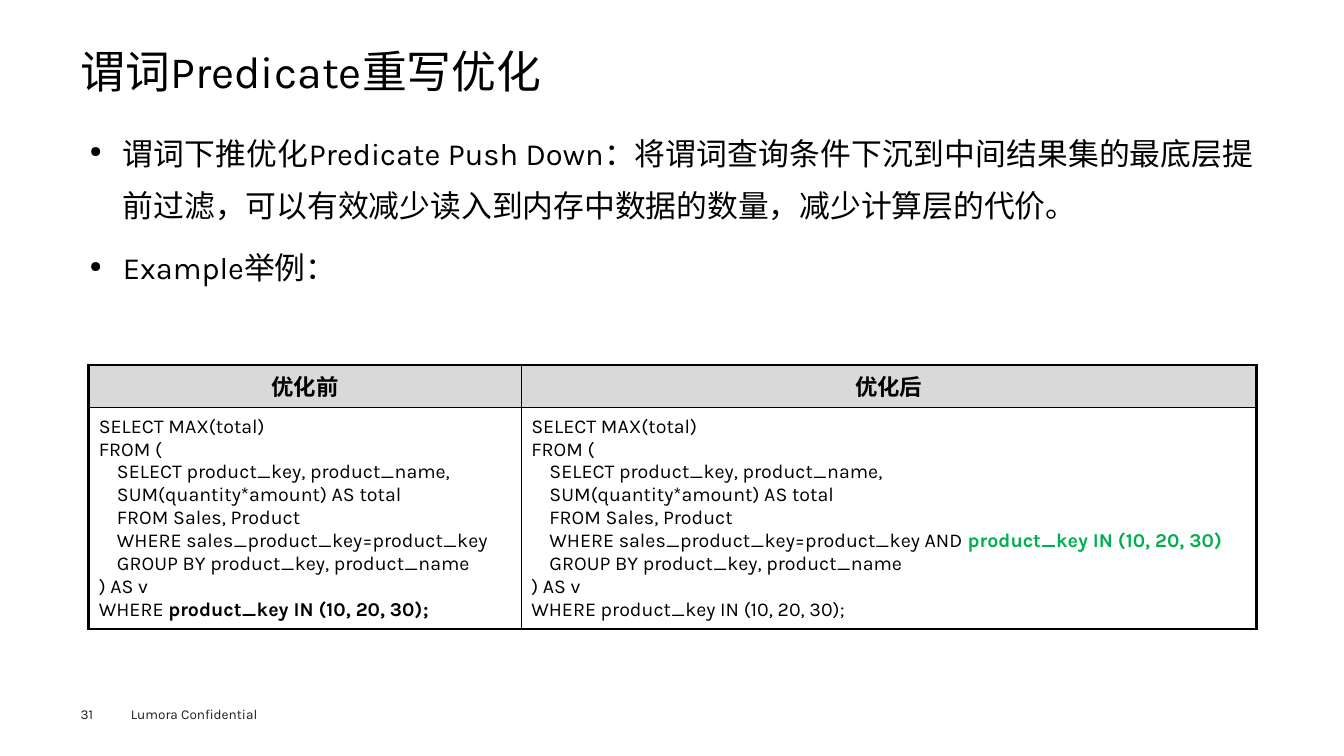
"""Build the predicate push-down slide with its before and after SQL table."""
from lxml import etree
from pptx import Presentation
from pptx.dml.color import RGBColor
from pptx.enum.text import MSO_ANCHOR, PP_ALIGN
from pptx.oxml.ns import qn
from pptx.util import Inches, Pt

LEFT, CENTER, JUSTIFY = PP_ALIGN.LEFT, PP_ALIGN.CENTER, PP_ALIGN.JUSTIFY
TOP, MIDDLE = MSO_ANCHOR.TOP, MSO_ANCHOR.MIDDLE
BLACK = RGBColor(0x00, 0x00, 0x00)
FOOTER_INK = RGBColor(0x1D, 0x1D, 0x1B)
GREEN = RGBColor(0x00, 0xB0, 0x50)
GREY = RGBColor(0xD9, 0xD9, 0xD9)
WHITE = RGBColor(0xFF, 0xFF, 0xFF)
FONT = "Karla"

TITLE = "谓词Predicate重写优化"
BULLETS = [
    "谓词下推优化Predicate Push Down：将谓词查询条件下沉到中间结果集的最底层"
    "提前过滤，可以有效减少读入到内存中数据的数量，减少计算层的代价。",
    "Example举例：",
]
HEADERS = ["优化前", "优化后"]
OUTER_START = ["SELECT MAX(total)", "FROM ("]
INNER_START = ["SELECT product_key, product_name,",
               "SUM(quantity*amount) AS total",
               "FROM Sales, Product"]
JOIN = "WHERE sales_product_key=product_key"
GROUP = "GROUP BY product_key, product_name"
FILTER = "product_key IN (10, 20, 30)"
JOIN_SPANS = [
    [(JOIN, {})],
    [(JOIN + " AND ", {}), (FILTER, {"bold": True, "color": GREEN})],
]
FILTER_SPANS = [
    [("WHERE ", {}), (FILTER + ";", {"bold": True})],
    [("WHERE " + FILTER + ";", {})],
]
FOOTERS = [
    ("31", (0.8, 7, 0.55, 0.16), (0, 0)),
    ("Lumora Confidential", (1.2, 6.95, 1.6, 0.27), (0.1, 0.05)),
]

COLUMN_WIDTHS = [4.29, 7.29]
ROW_HEIGHTS = [0.42, 2.15]
TABLE_LEFT, TABLE_TOP = 0.88, 3.62
CODE_INDENT = 0.18
BULLET_INDENT = 0.33
OUTER_LINE, INNER_LINE = 2.25, 1


def add_spans(para, spans, size, color=BLACK, bold=False):
    for text, changes in spans:
        span = para.add_run()
        span.text = text
        look = {"name": FONT, "size": Pt(size), "bold": changes.get("bold", bold)}
        for name, value in look.items():
            setattr(span.font, name, value)
        span.font.color.rgb = changes.get("color", color)


def add_paragraphs(frame, lines, size, color=BLACK, bold=False, **layout):
    for index, spans in enumerate(lines):
        para = frame.add_paragraph() if index else frame.paragraphs[0]
        for name, value in layout.items():
            setattr(para, name, value)
        add_spans(para, spans, size, color, bold)


def add_box(page, place, insets):
    frame = page.shapes.add_textbox(*map(Inches, place)).text_frame
    across, down = map(Inches, insets)
    settings = {"word_wrap": True, "vertical_anchor": TOP,
                "margin_left": across, "margin_right": across,
                "margin_top": down, "margin_bottom": down}
    for name, value in settings.items():
        setattr(frame, name, value)
    return frame


def add_bullet(para):
    properties = para._p.get_or_add_pPr()
    properties.set("marL", str(Inches(BULLET_INDENT)))
    properties.set("indent", str(-Inches(BULLET_INDENT)))
    etree.SubElement(properties, qn("a:buSzPct"), val="50000")
    etree.SubElement(properties, qn("a:buChar"), char="●")


def draw_borders(cell, widths):
    properties = cell._tc.get_or_add_tcPr()
    for side, width in zip("LRTB", widths):
        line = etree.SubElement(properties, qn("a:ln" + side), w=str(Pt(width)))
        fill = etree.SubElement(line, qn("a:solidFill"))
        etree.SubElement(fill, qn("a:srgbClr"), val=str(BLACK))


def code_lines(column):
    plain = [(0, [(text, {})]) for text in OUTER_START]
    plain += [(1, [(text, {})]) for text in INNER_START]
    return plain + [(1, JOIN_SPANS[column]), (1, [(GROUP, {})]),
                    (0, [(") AS v", {})]), (0, FILTER_SPANS[column])]


def add_code_table(page):
    table = page.shapes.add_table(
        len(ROW_HEIGHTS), len(COLUMN_WIDTHS), Inches(TABLE_LEFT), Inches(TABLE_TOP),
        Inches(sum(COLUMN_WIDTHS)), Inches(sum(ROW_HEIGHTS))).table
    for row, height in zip(table.rows, ROW_HEIGHTS):
        row.height = Inches(height)
    for column, width in enumerate(COLUMN_WIDTHS):
        table.columns[column].width = Inches(width)
        sides = (INNER_LINE, OUTER_LINE) if column else (OUTER_LINE, INNER_LINE)
        header, code = table.cell(0, column), table.cell(1, column)
        for cell, ends, color in ((header, (OUTER_LINE, INNER_LINE), GREY),
                                  (code, (INNER_LINE, OUTER_LINE), WHITE)):
            draw_borders(cell, sides + ends)
            cell.fill.solid()
            cell.fill.fore_color.rgb = color
        add_paragraphs(header.text_frame, [[(HEADERS[column], {})]], 16,
                       bold=True, alignment=CENTER)
        code.vertical_anchor = MIDDLE
        lines = code_lines(column)
        add_paragraphs(code.text_frame, [spans for _, spans in lines], 14,
                       alignment=LEFT)
        for para, (level, _) in zip(code.text_frame.paragraphs, lines):
            para._p.get_or_add_pPr().set("marL", str(Inches(CODE_INDENT * level)))


def main():
    deck = Presentation()
    deck.slide_width, deck.slide_height = Inches(13.33), Inches(7.5)
    page = deck.slides.add_slide(deck.slide_layouts[6])
    for text, place, insets in FOOTERS:
        add_paragraphs(add_box(page, place, insets), [[(text, {})]], 9.7, FOOTER_INK)
    title = add_box(page, (0.8, 0.49, 11.73, 0.53), (0, 0))
    add_paragraphs(title, [[(TITLE, {})]], 32, line_spacing=0.9)
    body = add_box(page, (0.8, 1.15, 11.73, 5.34), (0.09, 0.04))
    add_paragraphs(body, [[(text, {})] for text in BULLETS], 22, alignment=JUSTIFY,
                   line_spacing=1.4, space_before=Pt(7.9))
    for para in body.paragraphs:
        add_bullet(para)
    add_code_table(page)
    deck.save("out.pptx")


if __name__ == "__main__":
    main()
